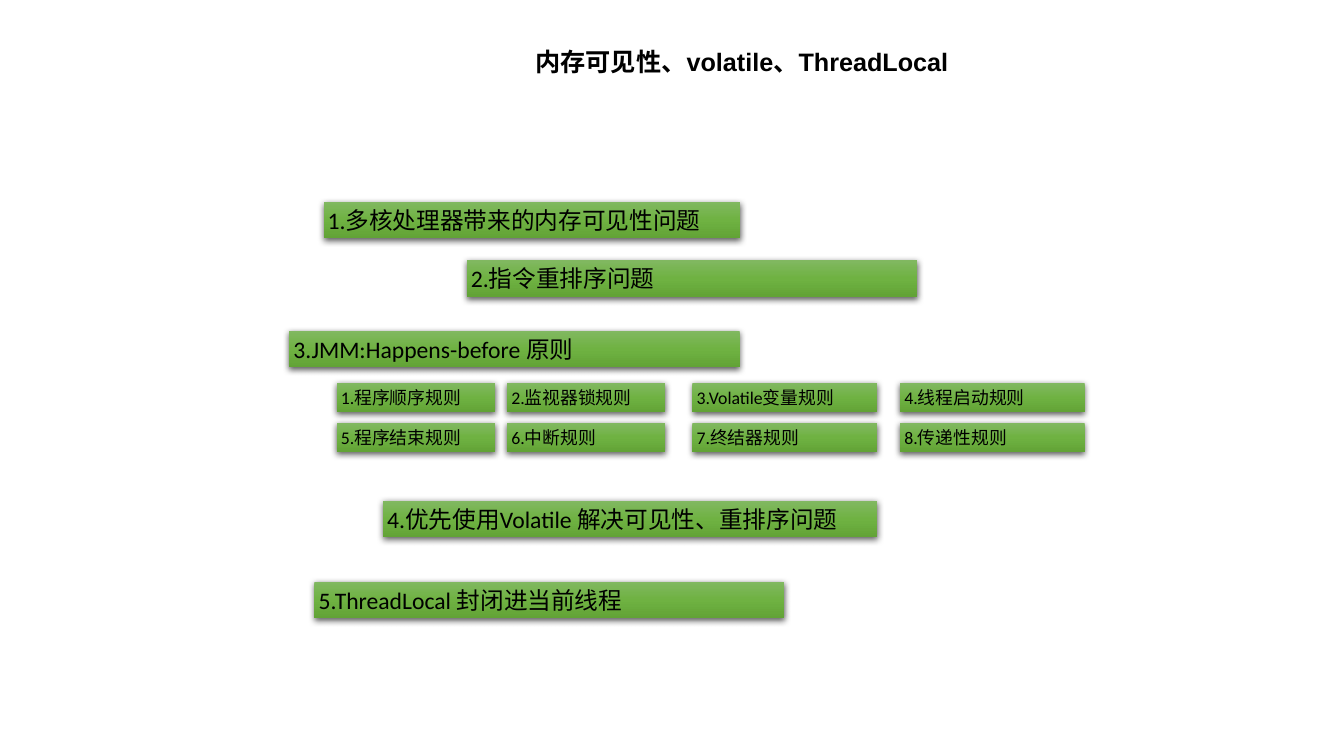
from lxml import etree
from pptx import Presentation
from pptx.dml.color import RGBColor
from pptx.enum.shapes import MSO_SHAPE
from pptx.enum.text import MSO_ANCHOR, MSO_AUTO_SIZE, PP_ALIGN
from pptx.oxml import parse_xml
from pptx.oxml.ns import nsdecls
from pptx.util import Pt

COLORS = {
    "text": "000000",
    "shadow": "000000",
    "top": "81B861",
    "middle": "6FB242",
    "bottom": "62A336",
}

# text, left, top, width
TOPICS = [
    ("1.多核处理器带来的内存可见性问题", 231.1, 144, 297.4),
    ("2.指令重排序问题", 333.4, 185.8, 321.8),
    ("3.JMM:Happens-before 原则", 206.6, 236.2, 321.8),
    ("4.优先使用Volatile 解决可见性、重排序问题", 273.6, 357.8, 352.8),
    ("5.ThreadLocal 封闭进当前线程", 224.6, 415.4, 335.5),
]
TOPIC_HEIGHT, TOPIC_SIZE = 26.2, 16.9

RULES = [
    ["1.程序顺序规则", "2.监视器锁规则", "3.Volatile变量规则", "4.线程启动规则"],
    ["5.程序结束规则", "6.中断规则", "7.终结器规则", "8.传递性规则"],
]
RULE_COLUMNS = [(240.5, 113), (362.2, 113), (494.6, 131.8), (643, 131.8)]
RULE_TOP, RULE_PITCH, RULE_HEIGHT, RULE_SIZE = 273.6, 28.4, 20.9, 12.7


def write_text(s, text, size, font, bold=False):
    tf = s.text_frame
    tf.word_wrap = True
    tf.auto_size = MSO_AUTO_SIZE.SHAPE_TO_FIT_TEXT
    tf.vertical_anchor = MSO_ANCHOR.MIDDLE
    tf.margin_left = tf.margin_right = Pt(3)
    tf.margin_top = tf.margin_bottom = Pt(3)
    p = tf.paragraphs[0]
    p.alignment = PP_ALIGN.LEFT
    r = p.add_run()
    r.text = text
    r.font.size = Pt(size)
    r.font.name = font
    r.font.bold = bold
    r.font.color.rgb = RGBColor.from_string(COLORS["text"])


def shade(s):
    """Give a shape the vertical green gradient and a soft shadow below."""
    s.line.fill.background()
    s.shadow.inherit = False
    stops = "".join(
        f'<a:gs pos="{pos}"><a:srgbClr val="{COLORS[name]}"/></a:gs>'
        for pos, name in [(0, "top"), (50000, "middle"), (100000, "bottom")]
    )
    gradient = parse_xml(
        f'<a:gradFill {nsdecls("a")} rotWithShape="1"><a:gsLst>{stops}</a:gsLst>'
        '<a:lin ang="5400000" scaled="0"/></a:gradFill>'
    )
    sp_pr = s.element.spPr
    sp_pr.find("{*}ln").addprevious(gradient)
    effects = sp_pr.find("{*}effectLst")
    ns = "{" + etree.QName(effects).namespace + "}"
    shadow = etree.SubElement(
        effects, ns + "outerShdw", blurRad=str(Pt(4.5)), dist=str(Pt(1.5)),
        dir="5400000", algn="ctr", rotWithShape="0",
    )
    color = etree.SubElement(shadow, ns + "srgbClr", val=COLORS["shadow"])
    etree.SubElement(color, ns + "alpha", val="63000")


def add_bar(slide, text, left, top, width, height, size):
    s = slide.shapes.add_shape(
        MSO_SHAPE.RECTANGLE, Pt(left), Pt(top), Pt(width), Pt(height)
    )
    shade(s)
    write_text(s, text, size, "Calibri")


def set_title(slide, text):
    s = slide.shapes.title
    s.left, s.top, s.width, s.height = Pt(343.4), Pt(30.2), Pt(411.8), Pt(27.4)
    write_text(s, text, 18, "Arial", bold=True)


def main():
    prs = Presentation()
    prs.slide_width, prs.slide_height = Pt(960), Pt(540)
    slide = prs.slides.add_slide(prs.slide_layouts.get_by_name("Title Only"))
    set_title(slide, "\t内存可见性、volatile、ThreadLocal")
    for text, left, top, width in TOPICS:
        add_bar(slide, text, left, top, width, TOPIC_HEIGHT, TOPIC_SIZE)
    for row, names in enumerate(RULES):
        top = RULE_TOP + row * RULE_PITCH
        for text, (left, width) in zip(names, RULE_COLUMNS):
            add_bar(slide, text, left, top, width, RULE_HEIGHT, RULE_SIZE)
    prs.save("out.pptx")


if __name__ == "__main__":
    main()
